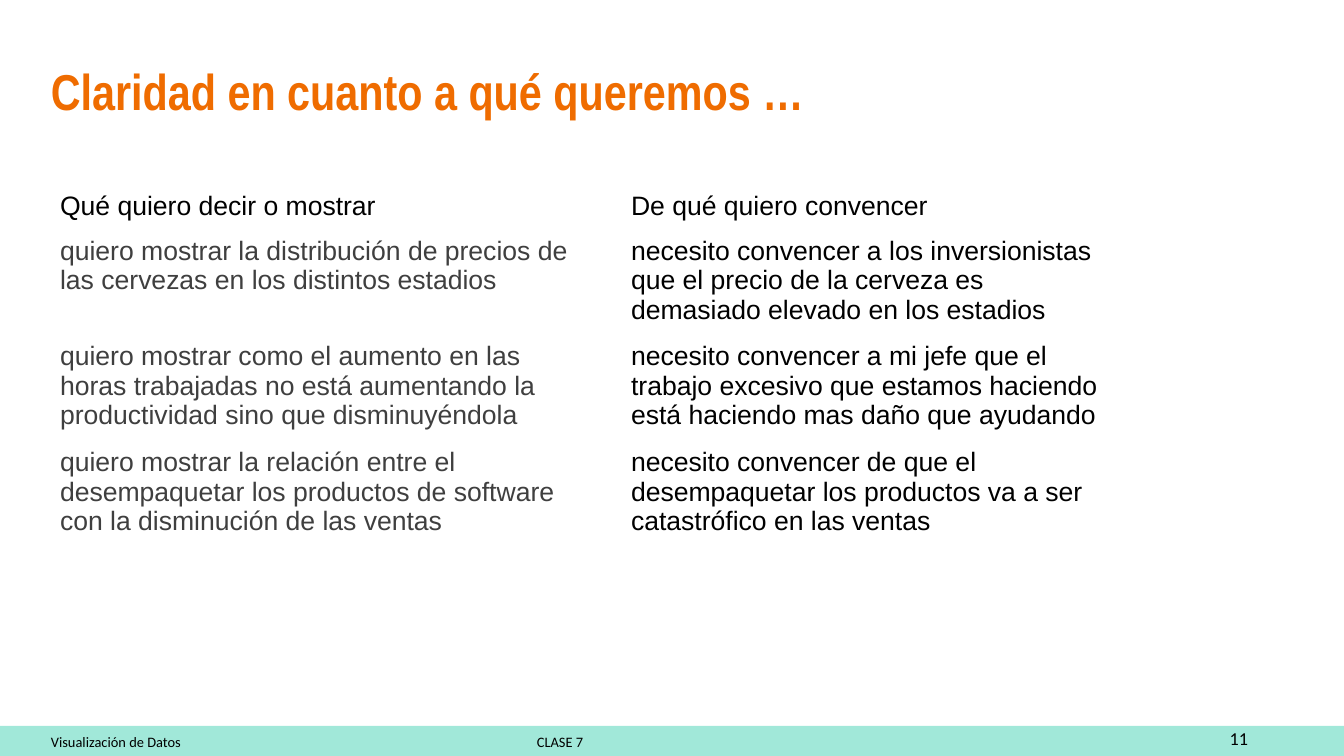
from pptx import Presentation
from pptx import util as u
from pptx.dml.color import RGBColor
from pptx.enum import shapes, text

SCALE = 914400 / 100.8
ORANGE = RGBColor(0xEF, 0x6C, 0x00)
MINT = RGBColor(0xA1, 0xE8, 0xD9)
BLACK = RGBColor(0, 0, 0)
GREY = RGBColor(0x3F, 0x3F, 0x3F)

TITLE = {"name": "Arial Narrow", "size": u.Pt(36), "bold": True}
BODY = {"name": "Arial", "size": u.Pt(19), "bold": False}
FOOTER = {"name": "Calibri", "size": u.Pt(10.3)}
NUMBER = {"name": "Calibri", "size": u.Pt(13)}

ROWS = [
    ("Qué quiero decir o mostrar", "De qué quiero convencer"),
    ("quiero mostrar la distribución de precios de las cervezas en los distintos estadios",
     "necesito convencer a los inversionistas que el precio de la cerveza es "
     "demasiado elevado en los estadios"),
    ("quiero mostrar como el aumento en las horas trabajadas no está aumentando la "
     "productividad sino que disminuyéndola",
     "necesito convencer a mi jefe que el trabajo excesivo que estamos haciendo "
     "está haciendo mas daño que ayudando"),
    ("quiero mostrar la relación entre el desempaquetar los productos de software "
     "con la disminución de las ventas",
     "necesito convencer de que el desempaquetar los productos va a ser "
     "catastrófico en las ventas"),
]


def px(n):
    """Turn a length in px into EMU."""
    return u.Emu(round(n * SCALE))


def write(tf, words, fmt, color, align=text.PP_ALIGN.LEFT):
    """Write one formatted paragraph and return it."""
    p = tf.paragraphs[0]
    p.alignment = align
    r = p.add_run()
    r.text = words
    for key, value in fmt.items():
        setattr(r.font, key, value)
    r.font.color.rgb = color
    return p


def add_text(s, box, words, fmt, color=BLACK, align=text.PP_ALIGN.LEFT,
             anchor=text.MSO_ANCHOR.TOP):
    """Add a wrapping text box."""
    tf = s.shapes.add_textbox(*map(px, box)).text_frame
    tf.word_wrap = True
    tf.vertical_anchor = anchor
    write(tf, words, fmt, color, align)


def add_band(s, box, color):
    """Add a plain filled rectangle."""
    sp = s.shapes.add_shape(shapes.MSO_SHAPE.RECTANGLE, *map(px, box))
    sp.shadow.inherit = False
    sp.fill.solid()
    sp.fill.fore_color.rgb = color
    sp.line.fill.background()


def add_grid(s, left, top, widths, heights, rows):
    """Add an unfilled table whose second column is indented."""
    box = (left, top, sum(widths), sum(heights))
    table = s.shapes.add_table(len(rows), len(widths), *map(px, box)).table
    table.first_row = table.horz_banding = False
    for column, width in zip(table.columns, widths):
        column.width = px(width)
    for i, (height, row) in enumerate(zip(heights, rows)):
        table.rows[i].height = px(height)
        for j, words in enumerate(row):
            cell = table.cell(i, j)
            cell.fill.background()
            p = write(cell.text_frame, words, BODY, GREY if i and not j else BLACK)
            if j:
                p.level = 1
                pPr = p._p.get_or_add_pPr()
                pPr.set("marL", str(px(38)))
                pPr.set("indent", "0")


def main():
    """Build the slide and save it."""
    prs = Presentation()
    prs.slide_width, prs.slide_height = px(1344), px(756)
    s = prs.slides.add_slide(prs.slide_layouts[6])
    add_band(s, (0, 726, 1344, 30), MINT)
    add_text(s, (1195, 722, 63, 37), "11", NUMBER, align=text.PP_ALIGN.RIGHT)
    add_text(s, (527, 728, 150, 25), "CLASE 7", FOOTER)
    add_text(s, (41, 728, 162, 25), "Visualización de Datos", FOOTER)
    add_text(s, (41, 38, 1252, 104), "Claridad en cuanto a qué queremos …", TITLE,
             ORANGE, anchor=text.MSO_ANCHOR.MIDDLE)
    add_grid(s, 50, 186, (533, 545), (45, 104, 104, 104), ROWS)
    prs.save("out.pptx")


if __name__ == "__main__":
    main()
